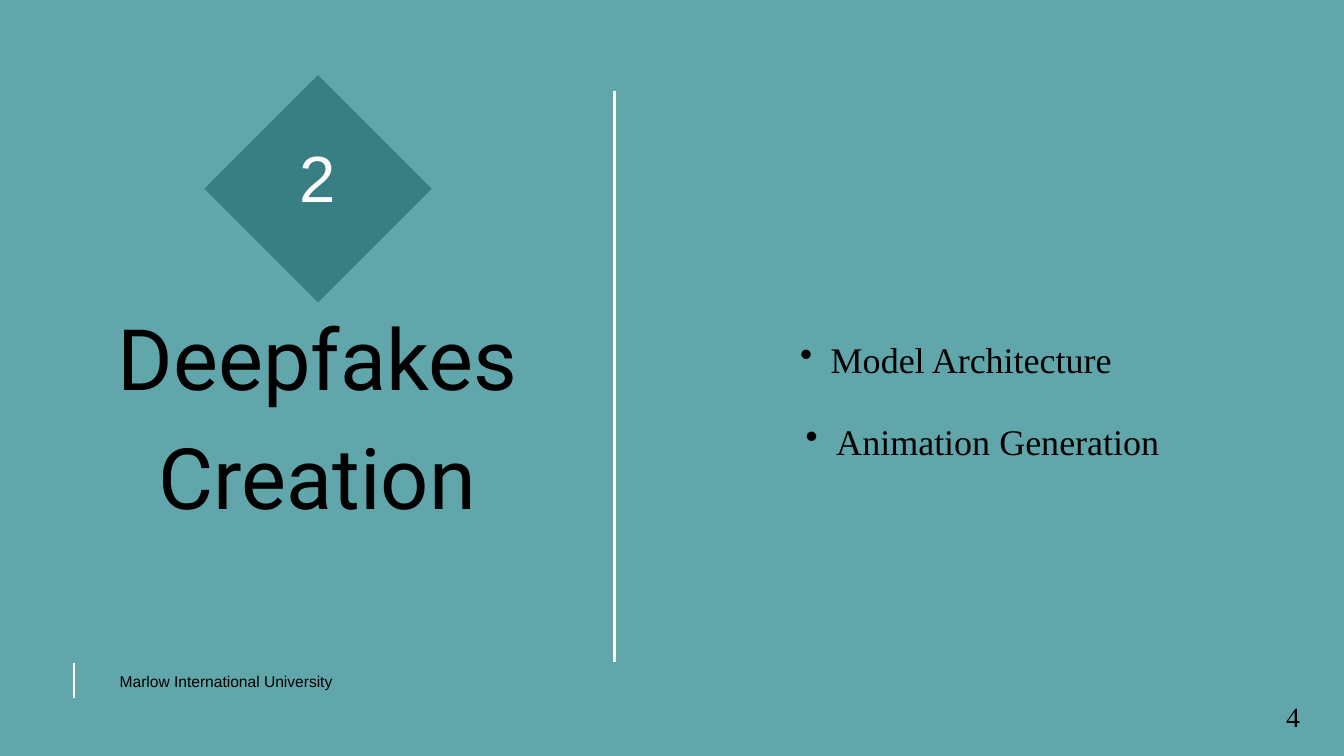
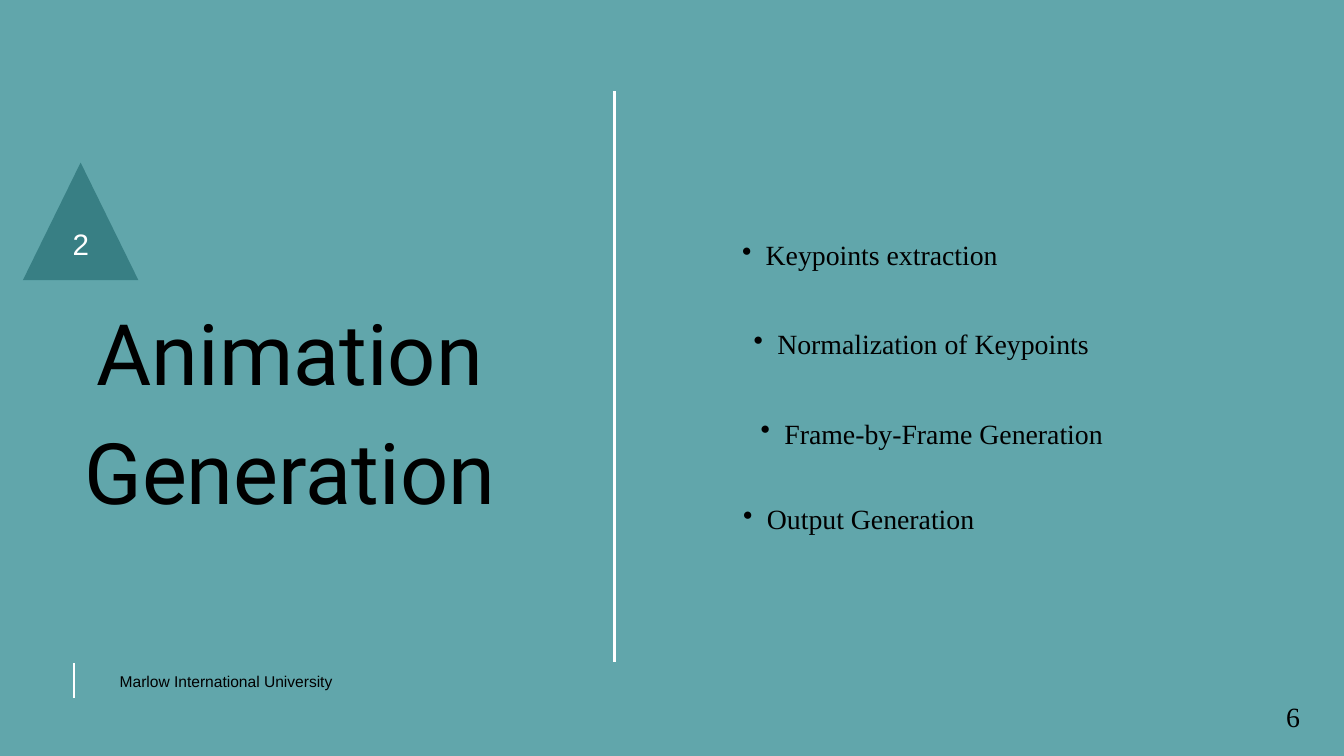
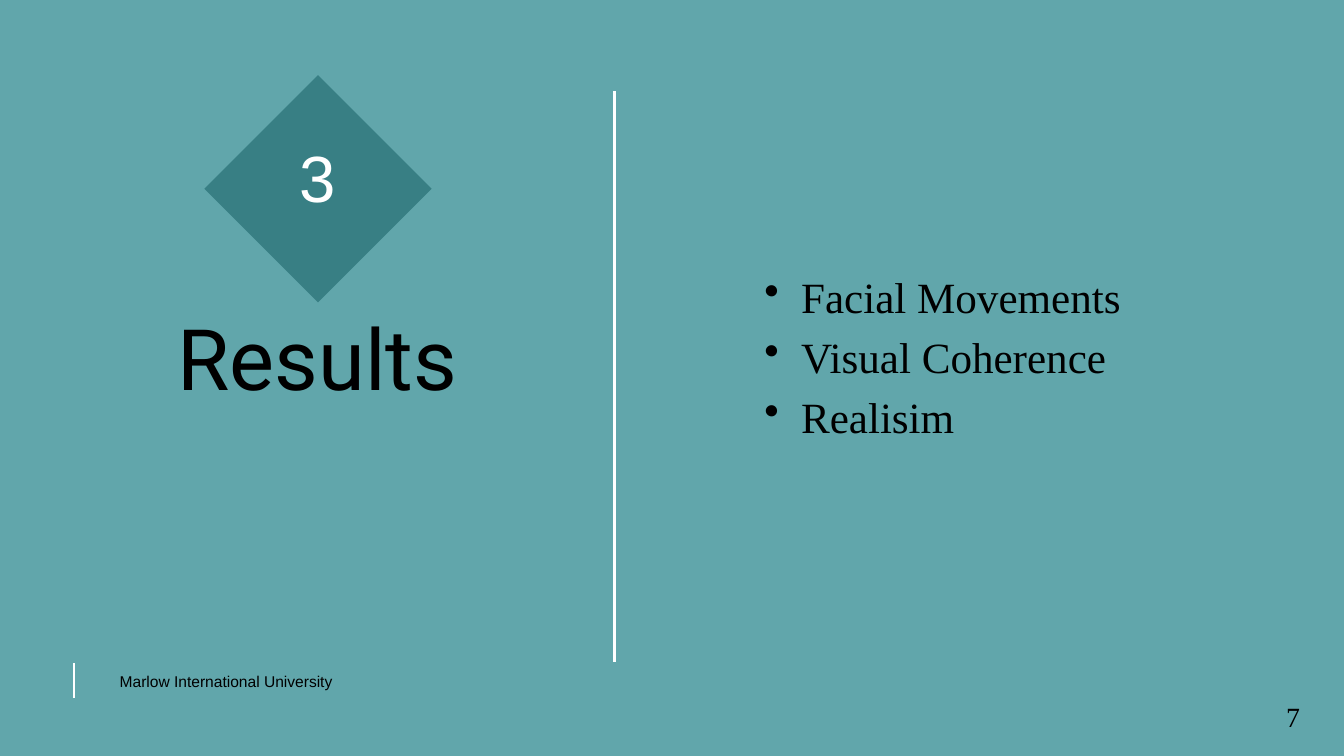
from dataclasses import dataclass

from lxml import etree
from pptx import Presentation
from pptx.dml.color import RGBColor
from pptx.enum.shapes import MSO_CONNECTOR, MSO_SHAPE
from pptx.enum.text import MSO_ANCHOR, PP_ALIGN
from pptx.oxml.ns import qn
from pptx.util import Pt

LINE = MSO_CONNECTOR.STRAIGHT
DIAMOND, TRIANGLE = MSO_SHAPE.DIAMOND, MSO_SHAPE.ISOSCELES_TRIANGLE
LEFT, CENTER = PP_ALIGN.LEFT, PP_ALIGN.CENTER
TOP, MIDDLE = MSO_ANCHOR.TOP, MSO_ANCHOR.MIDDLE


@dataclass(frozen=True)
class Theme:
    back: RGBColor = RGBColor(0x61, 0xA6, 0xAB)
    badge: RGBColor = RGBColor(0x38, 0x7F, 0x84)
    white: RGBColor = RGBColor(0xFF, 0xFF, 0xFF)
    black: RGBColor = RGBColor(0, 0, 0)
    sans: str = "Arial"
    serif: str = "Times New Roman"
    head: str = "Roboto"
    title: float = 90.8
    foot: float = 16.7
    page: float = 29.8
    large: float = 46.2
    medium: float = 38.6
    small: float = 29.8
    number: float = 70
    minor: float = 31.7
    lead: float = 1.4     # line height, margin and hang as multiples of type size
    margin: float = 1.7
    hang: float = 0.85


theme = Theme()


def write(slide, box, text, font, size, color=theme.black, align=CENTER,
          anchor=TOP, inset=0, bullet=False):
    frame = slide.shapes.add_textbox(*map(Pt, box)).text_frame
    frame.word_wrap = True
    frame.vertical_anchor = anchor
    frame.margin_left = frame.margin_right = Pt(inset)
    frame.margin_top = frame.margin_bottom = Pt(inset)
    frame.text = text
    for para in frame.paragraphs:
        para.alignment = align
        para.line_spacing = Pt(round(size * theme.lead, 1))
        face = para.runs[0].font
        face.name, face.size = font, Pt(size)
        face.color.rgb = color
        if bullet:
            para.level = 1
            props = para._p.get_or_add_pPr()
            props.set("marL", str(Pt(size * theme.margin)))
            props.set("indent", str(-Pt(size * theme.hang)))
            etree.SubElement(props, qn("a:buChar")).set("char", "•")


# Badges: shape, its box, number box, number size
major = (DIAMOND, (219, 80.6, 243.4, 243.4), (260.6, 82.8, 159, 199.4), theme.number)
minor = (TRIANGLE, (24.5, 174.2, 123.8, 126), (44, 224, 85, 67), theme.minor)

# Slides: page, badge, number, title, title corner, bullet size and alignment,
# then bullets as text, left, top, width, height
pages = [
    ("4", major, "2", "Deepfakes Creation", (54, 309.6), theme.medium, CENTER, [
        ("Model Architecture", 751.7, 353.5, 512.6, 52),
        ("Animation Generation", 751.7, 442, 569.5, 52),
    ]),
    ("6", minor, "2", "Animation Generation", (24.5, 304.6), theme.small, CENTER, [
        ("Keypoints extraction", 720.7, 249, 397.4, 40),
        ("Normalization of Keypoints", 720, 344.2, 509, 40),
        ("Frame-by-Frame Generation", 720.7, 440, 530, 40),
        ("Output Generation", 720, 532, 375, 40),
    ]),
    ("7", major, "3", "Results", (54, 309.6), theme.large, LEFT, [
        ("Facial Movements\nVisual Coherence\nRealisim", 779.8, 280, 511, 189.4),
    ]),
]

deck = Presentation()
deck.slide_width, deck.slide_height = Pt(1440), Pt(810)

for page, badge, number, title, corner, size, align, bullets in pages:
    slide = deck.slides.add_slide(deck.slide_layouts[6])
    slide.background.fill.solid()
    slide.background.fill.fore_color.rgb = theme.back

    # Divider and footer rule
    for x, low, high in [(658.8, 709.2, 97.9), (79.2, 748, 710)]:
        rule = slide.shapes.add_connector(LINE, Pt(x), Pt(low), Pt(x), Pt(high))
        rule.line.color.rgb = theme.white
        rule.line.width = Pt(3)
        etree.SubElement(rule._element.spPr, qn("a:effectLst"))

    # Numbered badge
    kind, box, inner, scale = badge
    shape = slide.shapes.add_shape(kind, *map(Pt, box))
    shape.shadow.inherit = False
    shape.fill.solid()
    shape.fill.fore_color.rgb = theme.badge
    shape.line.fill.background()
    write(slide, inner, number, theme.sans, scale, theme.white,
          anchor=MIDDLE, inset=4)

    # Title
    rows = len(title.split())
    write(slide, (*corner, 572.4, 125 * rows), title, theme.head, theme.title)

    # Bullets
    for text, *area in bullets:
        write(slide, area, text, theme.serif, size, align=align, bullet=True)

    # Footer and page number
    write(slide, (91.4, 716.4, 301.7, 23), "Marlow International University",
          theme.sans, theme.foot)
    write(slide, (1375.7, 743.8, 19.4, 39.6), page, theme.serif, theme.page)

deck.save("out.pptx")
